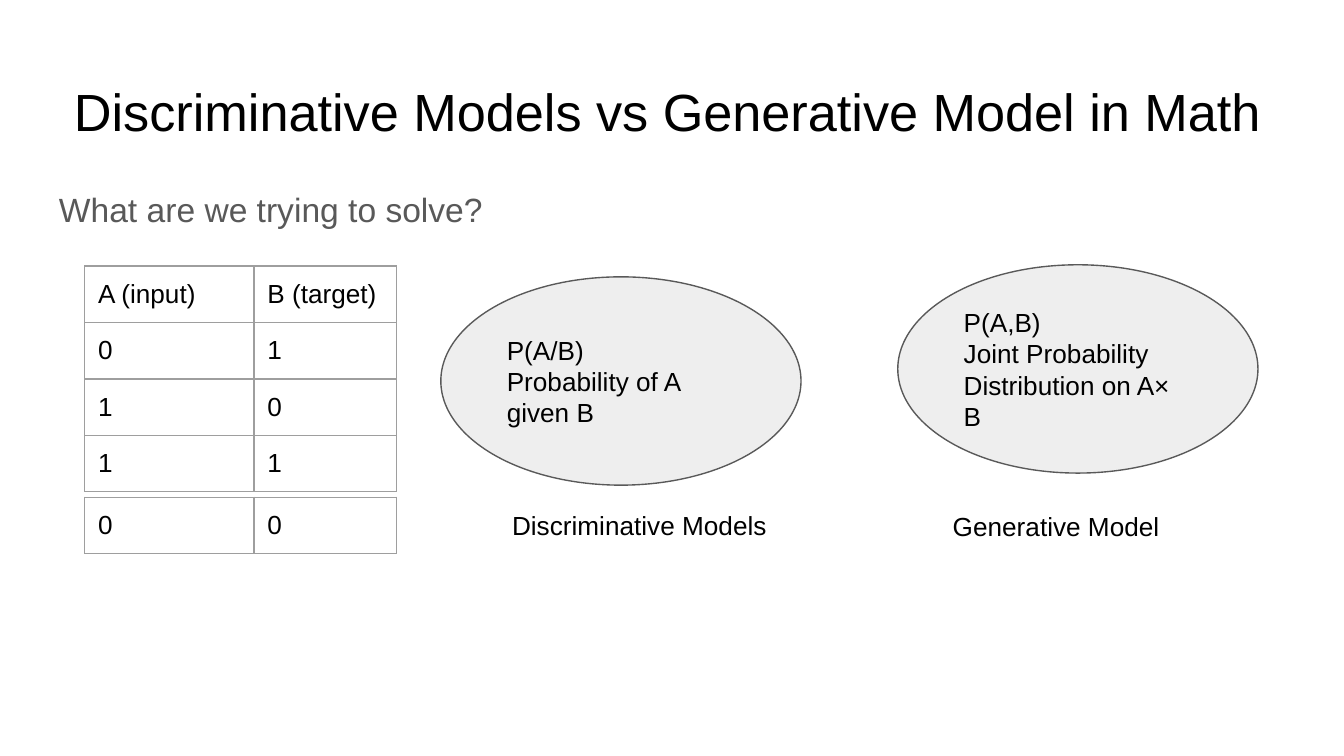
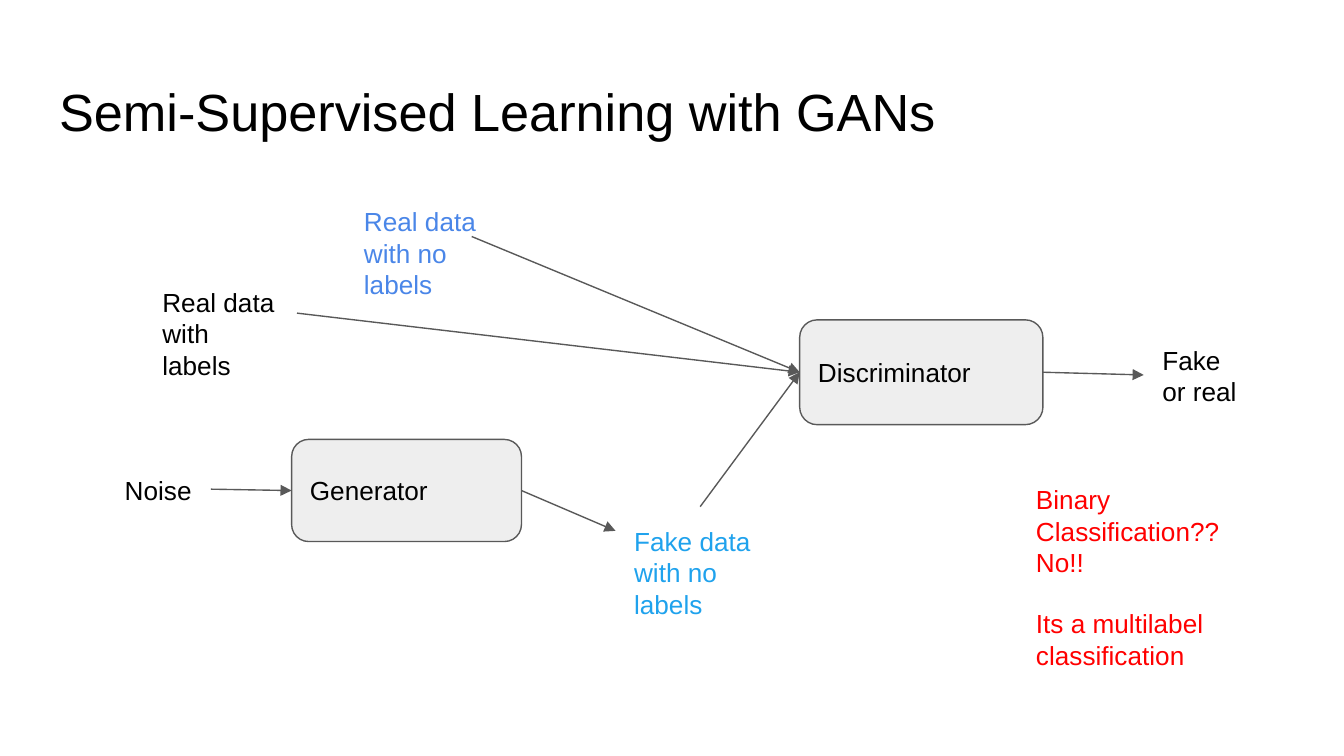
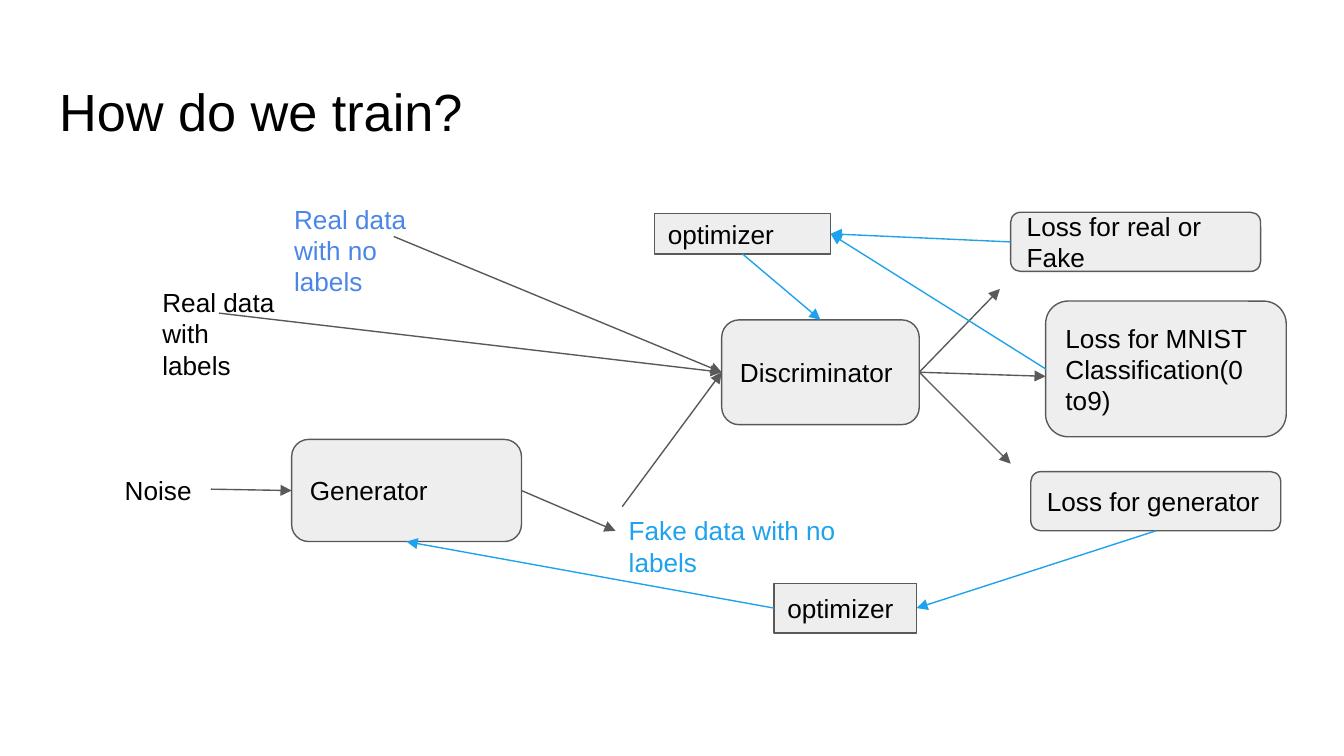
import pptx
import pptx.util
import pptx.dml.color
import pptx.enum.shapes
import pptx.enum.text
import pptx.oxml.ns
import lxml.etree

Pt = pptx.util.Pt
Rgb = pptx.dml.color.RGBColor.from_string
Kind = pptx.enum.shapes.MSO_SHAPE
Anchor = pptx.enum.text.MSO_ANCHOR
qn = pptx.oxml.ns.qn
hues = {
    "ink": "000000", "gray": "595959", "pale": "EEEEEE", "rule": "9E9E9E",
    "sky": "1FA2ED", "blue": "4A86E8", "red": "FF0000",
}

deck = pptx.Presentation()
deck.slide_width = pptx.util.Inches(10)
deck.slide_height = pptx.util.Inches(5.625)
unit = deck.slide_width / 100
pad = round(unit)


def put(slide, text, box, kind=None, hue="ink", size=14, shape=None):
    left, top, width, height = [round(n * unit) for n in box]
    if shape:
        shape.left, shape.top, shape.width, shape.height = left, top, width, height
    elif kind:
        shape = slide.shapes.add_shape(kind, left, top, width, height)
        shape.shadow.inherit = False
        shape.fill.solid()
        shape.fill.fore_color.rgb = Rgb(hues["pale"])
        shape.line.color.rgb = Rgb(hues["gray"])
        shape.line.width = Pt(0.75)
    else:
        shape = slide.shapes.add_textbox(left, top, width, height)
    frame = shape.text_frame
    frame.text = text
    frame.word_wrap = True
    frame.auto_size = pptx.enum.text.MSO_AUTO_SIZE.NONE
    frame.vertical_anchor = Anchor.MIDDLE if kind else Anchor.TOP
    frame.margin_left = frame.margin_right = pad
    frame.margin_top = frame.margin_bottom = pad
    for para in frame.paragraphs:
        para.alignment = pptx.enum.text.PP_ALIGN.LEFT
        para.font.name = "Arial"
        para.font.size = Pt(size)
        para.font.color.rgb = Rgb(hues[hue])
    return shape


def link(slide, start, end, hue="gray"):
    line = slide.shapes.add_connector(pptx.enum.shapes.MSO_CONNECTOR.STRAIGHT, 0, 0, 0, 0)
    if hasattr(start[0], "left"):
        line.begin_connect(*start)
    else:
        line.begin_x, line.begin_y = [round(n * unit) for n in start]
    if hasattr(end[0], "left"):
        line.end_connect(*end)
    else:
        line.end_x, line.end_y = [round(n * unit) for n in end]
    line.line.color.rgb = Rgb(hues[hue])
    line.line.width = Pt(0.75)
    props = line.element.spPr
    lxml.etree.SubElement(props.find(qn("a:ln")), qn("a:tailEnd"), type="triangle")
    lxml.etree.SubElement(props, qn("a:effectLst"))


titles = [
    "Discriminative Models vs Generative Model in Math",
    "Semi-Supervised Learning with GANs",
    "How do we train?",
]
slides = []
for title in titles:
    slide = deck.slides.add_slide(deck.slide_layouts[5])
    put(slide, title, (3.4, 4.9, 93.2, 6.3), size=28, shape=slide.shapes.title)
    slides.append(slide)
math, semi, train = slides

math.shapes.title.text_frame.margin_left = round(2.1 * unit)
ask = put(math, "What are we trying to solve?", (3.4, 12.6, 93.2, 37.4), hue="gray", size=18)
ask.text_frame.paragraphs[0].line_spacing = 1.15
put(math, "P(A/B)\nProbability of A given B", (32.8, 20.6, 26.8, 15.5), Kind.OVAL)
put(math, "P(A,B)\nJoint Probability Distribution on A× B", (66.8, 19.7, 26.8, 15.5), Kind.OVAL)
name = put(math, "Discriminative Models", (32.8, 36.9, 26.8, 3.8))
name.text_frame.margin_left = round(5.3 * unit)
put(math, "Generative Model", (69.9, 37, 23.2, 3.5))

cols = [12.6, 10.6]
high = 4.2
tables = [
    (19.8, [("A (input)", "B (target)"), ("0", "1"), ("1", "0"), ("1", "1")]),
    (37, [("0", "0")]),
]
for top, rows in tables:
    area = [round(n * unit) for n in (6.3, top, sum(cols), high * len(rows))]
    table = math.shapes.add_table(len(rows), len(cols), *area).table
    table.first_row = table.horz_banding = False
    for col, width in zip(table.columns, cols):
        col.width = round(width * unit)
    for r, row in enumerate(rows):
        for c, text in enumerate(row):
            cell = table.cell(r, c)
            cell.text = text
            cell.margin_left = cell.margin_right = pad
            cell.margin_top = cell.margin_bottom = pad
            font = cell.text_frame.paragraphs[0].font
            font.name = "Arial"
            font.size = Pt(14)
            font.color.rgb = Rgb(hues["ink"])
            props = cell._tc.get_or_add_tcPr()
            for side in ("lnL", "lnR", "lnT", "lnB"):
                edge = lxml.etree.SubElement(props, qn("a:" + side), w=str(Pt(0.75)))
                fill = lxml.etree.SubElement(edge, qn("a:solidFill"))
                lxml.etree.SubElement(fill, qn("a:srgbClr"), val=hues["rule"])
            cell.fill.background()

flows = [
    (semi, 59.5, 18.1, (46.2, 38.1, 11.4, 5.8), (26.1, 14.3, 10.6, 6.3)),
    (train, 53.7, 14.7, (45.8, 37.3, 21.3, 5.8), (20.9, 14.1, 10.6, 6.3)),
]
gens, discs = [], []
for slide, left, width, fake, bare in flows:
    gen = put(slide, "Generator", (21.7, 32.7, 17.1, 7.6), Kind.ROUNDED_RECTANGLE)
    disc = put(slide, "Discriminator", (left, 23.8, width, 7.8), Kind.ROUNDED_RECTANGLE)
    link(slide, (15.7, 36.4), (gen, 1))
    link(slide, (gen, 3), (45.8, 39.5))
    for back, top in [(7.4, 37.7), (37.4, 23.3), (24.4, 17.6)]:
        link(slide, (left - back, top), (disc, 1))
    put(slide, "Noise", (8.3, 34.3, 7.4, 3))
    put(slide, "Fake data with no labels", fake, hue="sky")
    put(slide, "Real data with labels", (11.1, 20.3, 10.6, 3))
    put(slide, "Real data with no labels", bare, hue="blue")
    gens.append(gen)
    discs.append(disc)

link(semi, (discs[0], 3), (85.1, 27.9))
put(semi, "Fake or real", (85.5, 24.6, 8.5, 7.8))
note = put(
    semi, "Binary Classification??\nNo!!\nIts a multilabel classification",
    (76.1, 35, 16.5, 6.3), hue="red",
)
note.text_frame.paragraphs[2].space_before = Pt(16)

gen, disc = gens[1], discs[1]
for end in [(77.8, 28), (74.4, 21.5), (75.2, 34.5)]:
    link(train, (disc, 3), end)
boxes = [
    ("Loss for real or Fake", (75.2, 15.8, 18.6, 4.4), Kind.ROUNDED_RECTANGLE),
    ("Loss for MNIST Classification(0 to9)", (77.8, 22.4, 17.9, 10.1), Kind.ROUNDED_RECTANGLE),
    ("Loss for generator", (76.7, 35.1, 18.6, 4.4), Kind.ROUNDED_RECTANGLE),
    ("optimizer", (48.7, 15.9, 13.1, 3), Kind.RECTANGLE),
    ("optimizer", (57.6, 43.4, 10.6, 3.7), Kind.RECTANGLE),
]
real, digit, cost, upper, lower = [put(train, *box) for box in boxes]
steps = [
    (real, 1, upper, 3), (digit, 1, upper, 3), (upper, 2, disc, 0),
    (cost, 2, lower, 3), (lower, 1, gen, 2),
]
for start, out, end, into in steps:
    link(train, (start, out), (end, into), "sky")

deck.save("out.pptx")
